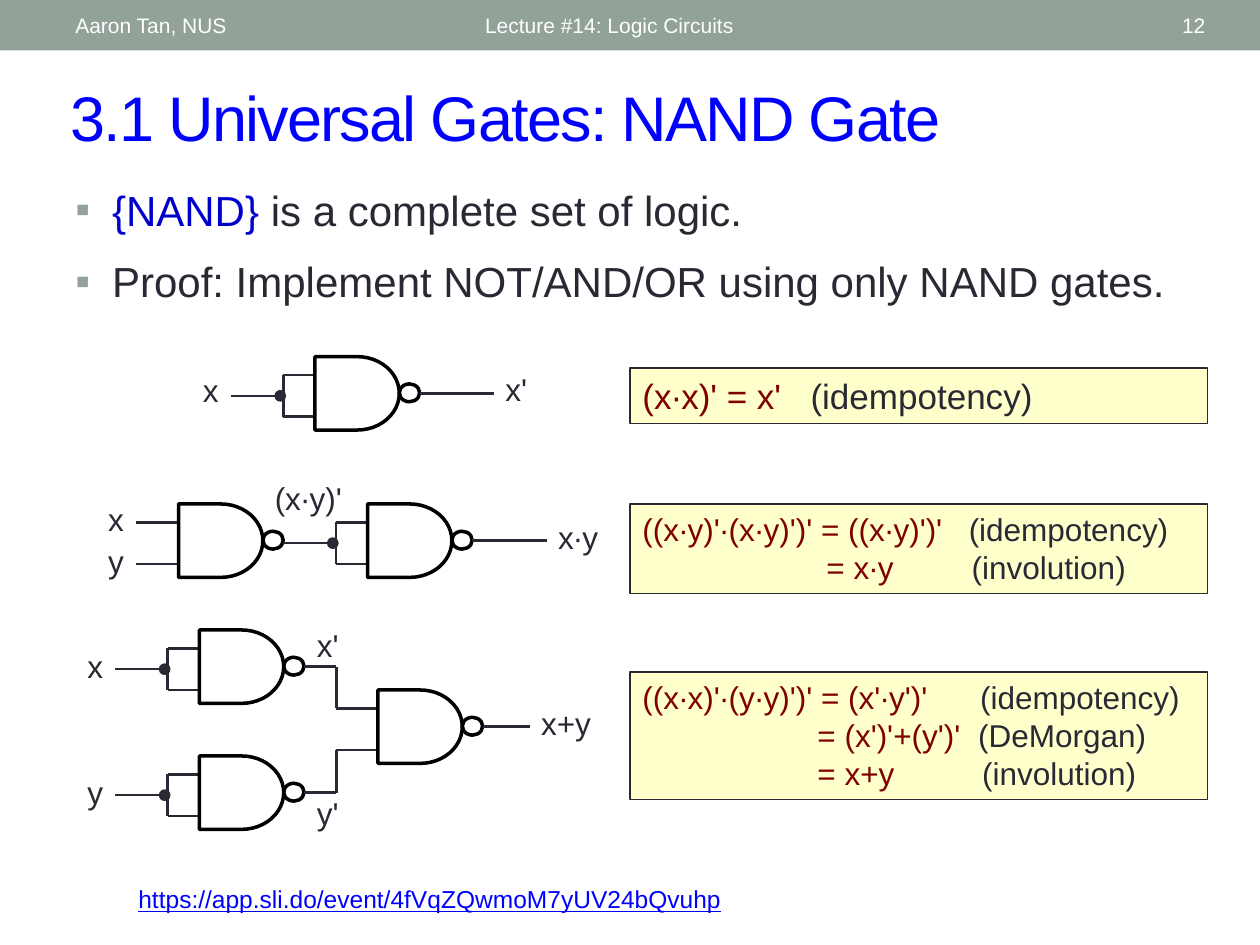
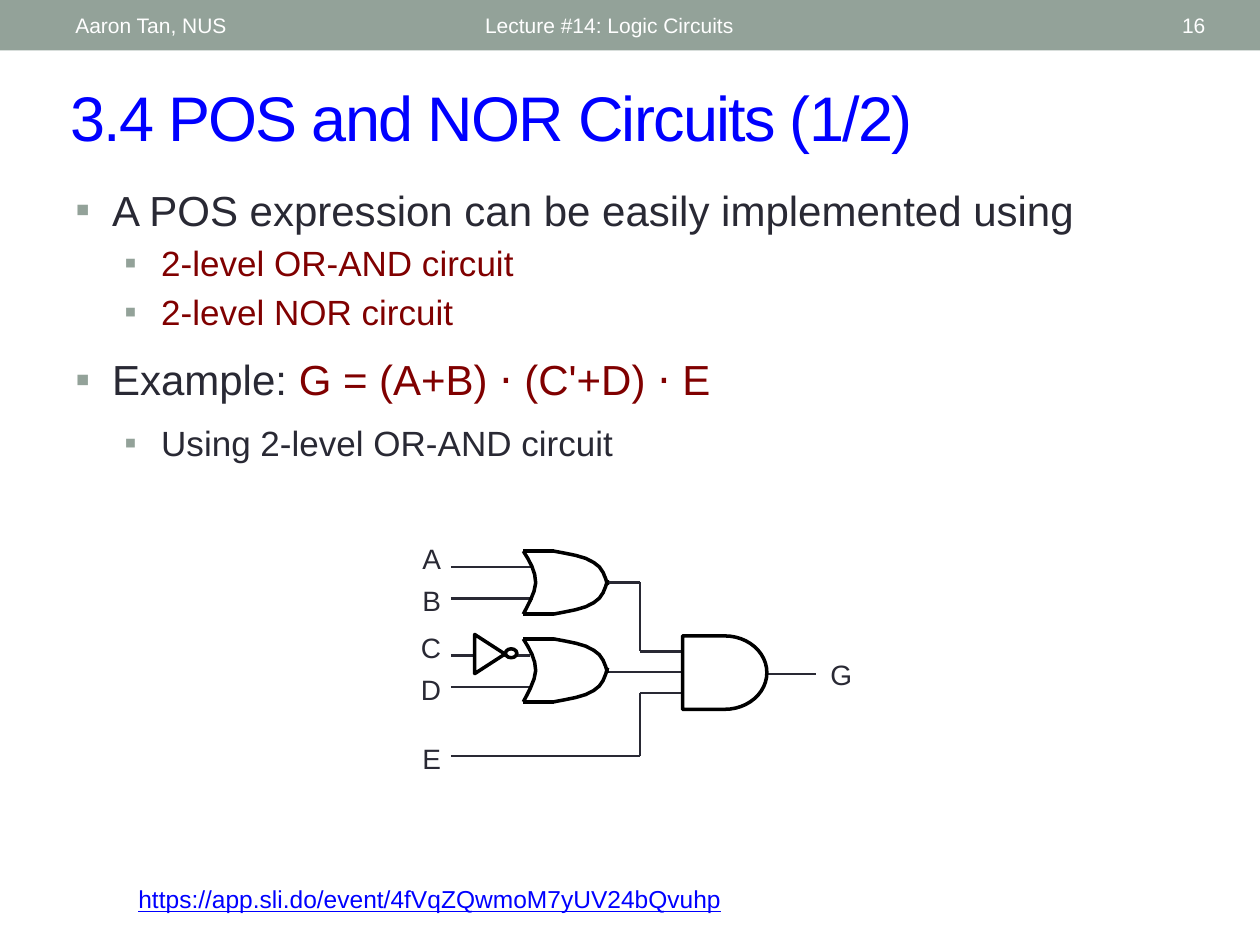
from itertools import pairwise

from lxml.etree import SubElement
from pptx import Presentation
from pptx.dml.color import RGBColor
from pptx.enum.shapes import MSO_CONNECTOR as Connector, MSO_SHAPE as Shape
from pptx.enum.text import MSO_ANCHOR as Anchor, PP_ALIGN as Align
from pptx.oxml.ns import qn
from pptx.util import Cm, Pt

FONT = "Arial"
WHITE = RGBColor(0xFF, 0xFF, 0xFF)
BLACK = RGBColor(0x00, 0x00, 0x00)
INK = RGBColor(0x29, 0x29, 0x34)
SAGE = RGBColor(0x93, 0xA2, 0x99)
BLUE = RGBColor(0x00, 0x00, 0xFF)
DEEP_BLUE = RGBColor(0x00, 0x00, 0xCC)
MAROON = RGBColor(0x80, 0x00, 0x00)
CREAM = RGBColor(0xFF, 0xFF, 0xCC)

GATE_WIDTH, GATE_HEIGHT = 1.7, 1.48
NAND_OUT_X, OUT_Y = 2.11, 0.74
INPUT_YS = (0.37, 1.21)
OR_HEIGHT, OR_SHOULDER = 1.27, 0.61
OR_BACK = (
    ((0, 0), (0.13, 0.2), (0.25, 0.41), (0.25, 0.64)),
    ((0.25, 0.64), (0.25, 0.84), (0.05, 1.17), (0, 1.27)),
)
OR_FRONT = (
    ((0.61, 0), (0.91, 0.06), (1.24, 0.1), (1.42, 0.23)),
    ((1.42, 0.23), (1.6, 0.33), (1.65, 0.51), (1.7, 0.69)),
)


def add_runs(paragraph, runs, size):
    for text, color in runs:
        run = paragraph.add_run()
        run.text = text
        run.font.name = FONT
        run.font.size = Pt(size)
        run.font.color.rgb = color


def add_text(shapes, text, box, size, color=INK, align=Align.LEFT, anchor=Anchor.TOP):
    frame = shapes.add_textbox(*map(Cm, box)).text_frame
    frame.word_wrap = True
    frame.vertical_anchor = anchor
    paragraph = frame.paragraphs[0]
    paragraph.alignment = align
    add_runs(paragraph, [(text, color)], size)
    return paragraph.runs[0]


def add_preset(shapes, kind, box, fill=None, line=BLACK, width=2):
    shape = shapes.add_shape(kind, *map(Cm, box))
    paint(shape, fill, line, width)
    return shape


def paint(shape, fill, line, width):
    shape.shadow.inherit = False
    if fill is None:
        shape.fill.background()
    else:
        shape.fill.solid()
        shape.fill.fore_color.rgb = fill
    if line is None:
        shape.line.fill.background()
    else:
        shape.line.color.rgb = line
        shape.line.width = Pt(width)


def wire(shapes, left, top, *points, color=INK, width=1.5):
    for (x1, y1), (x2, y2) in pairwise(points):
        ends = map(Cm, (left + x1, top + y1, left + x2, top + y2))
        connector = shapes.add_connector(Connector.STRAIGHT, *ends)
        connector.line.color.rgb = color
        connector.line.width = Pt(width)
        SubElement(connector.element.spPr, qn("a:effectLst"))


def add_frame(slide, title, number):
    shapes = slide.shapes
    add_preset(shapes, Shape.RECTANGLE, (0, 0, 25.4, 1.02), SAGE, None)
    for text, left, width, align in (
        ("Aaron Tan, NUS", 1.27, 8.05, Align.LEFT),
        ("Lecture #14: Logic Circuits", 9.53, 11.43, Align.LEFT),
        (str(number), 22.15, 2.4, Align.RIGHT),
    ):
        add_text(shapes, text, (left, 0.05, width, 0.91), 12, WHITE, align, Anchor.MIDDLE)
    heading = add_text(shapes, title, (1.17, 1.45, 23.04, 1.78), 36, BLUE, anchor=Anchor.MIDDLE)
    heading.font._element.set("spc", "-100")
    address = "https://app.sli.do/event/4fVqZQwmoM7yUV24bQvuhp"
    add_text(shapes, address, (2.54, 17.7, 19.6, 0.86), 14, BLUE).font.underline = True


def add_bullets(slide, box, items):
    frame = slide.shapes.add_textbox(*map(Cm, box)).text_frame
    frame.word_wrap = True
    for index, (level, gap, runs) in enumerate(items):
        paragraph = frame.paragraphs[0] if index == 0 else frame.add_paragraph()
        size = (24, 20)[level]
        properties = paragraph._p.get_or_add_pPr()
        properties.set("marL", str(Cm((0.74, 1.73)[level])))
        properties.set("indent", str(-Cm(0.74)))
        color = SubElement(properties, qn("a:buClr"))
        SubElement(color, qn("a:srgbClr"), val=str(SAGE))
        SubElement(properties, qn("a:buFont"), typeface=FONT)
        SubElement(properties, qn("a:buChar"), char="▪")
        paragraph.level = level
        if index:
            paragraph.space_before = Pt(gap * size)
        add_runs(paragraph, runs, size)


def add_derivation(slide, top, height, size, equals_tab, rows):
    shape = add_preset(slide.shapes, Shape.RECTANGLE, (12.7, top, 11.64, height), CREAM, INK, 0.75)
    frame = shape.text_frame
    frame.word_wrap = True
    frame.vertical_anchor = Anchor.TOP
    for index, (formula, law, law_tab) in enumerate(rows):
        paragraph = frame.paragraphs[0] if index == 0 else frame.add_paragraph()
        paragraph.alignment = Align.LEFT
        tab_list = SubElement(paragraph._p.get_or_add_pPr(), qn("a:tabLst"))
        tabs = (equals_tab, law_tab) if index else (law_tab,)
        for position in tabs:
            SubElement(tab_list, qn("a:tab"), pos=str(Cm(position)), algn="l")
        add_runs(paragraph, [(formula, MAROON), (f"\t({law})", INK)], size)


def add_nand(shapes, left, top):
    add_preset(shapes, Shape.FLOWCHART_DELAY, (left, top, GATE_WIDTH, GATE_HEIGHT))
    add_preset(shapes, Shape.OVAL, (left + GATE_WIDTH, top + 0.55, 0.41, 0.36))


def add_tied_nand(shapes, left, top):
    upper, lower = INPUT_YS
    wire(shapes, left, top, (-1.7, 0.79), (-0.64, 0.79))
    wire(shapes, left, top, (0, upper), (-0.64, upper), (-0.64, lower), (0, lower))
    add_preset(shapes, Shape.OVAL, (left - 0.8, top + 0.69, 0.2, 0.2), INK, INK, 1)
    add_nand(shapes, left, top)


def add_input_label(shapes, text, left, top):
    add_text(shapes, text, (left, top, 0.84, 1.02), 18, align=Align.RIGHT)


def add_output(shapes, left, top, length, text):
    end = NAND_OUT_X + length
    wire(shapes, left, top, (NAND_OUT_X, OUT_Y), (end, OUT_Y))
    add_text(shapes, text, (left + end - 0.02, top + 0.15, 1.7, 1.02), 18)


def add_not_circuit(slide, left, top):
    shapes = slide.shapes.add_group_shape().shapes
    add_tied_nand(shapes, left, top)
    add_input_label(shapes, "x", left - 2.53, top + 0.17)
    add_output(shapes, left, top, 1.5, "x'")


def add_and_circuit(slide, left, top):
    shapes = slide.shapes.add_group_shape().shapes
    second = left + 3.81
    for name, y in zip("xy", INPUT_YS):
        wire(shapes, left, top, (-0.86, y), (0, y))
        add_input_label(shapes, name, left - 1.69, top + y - 0.57)
    add_nand(shapes, left, top)
    add_tied_nand(shapes, second, top)
    add_text(shapes, "(x∙y)'", (left + 1.69, top - 0.63, 1.95, 1.02), 18)
    add_output(shapes, second, top, 1.5, "x∙y")


def add_or_circuit(slide, left, top):
    shapes = slide.shapes.add_group_shape().shapes
    final_x, final_y = 3.6, 1.21
    branches = (("x", 0, -0.2), ("y", 2.54, 3.18))
    for (name, offset, label_y), input_y in zip(branches, INPUT_YS):
        add_tied_nand(shapes, left, top + offset)
        add_input_label(shapes, name, left - 2.53, top + offset + 0.21)
        start_y, end_y = offset + OUT_Y, final_y + input_y
        wire(shapes, left, top, (NAND_OUT_X, start_y), (2.76, start_y),
             (2.76, end_y), (final_x, end_y))
        add_text(shapes, f"{name}'", (left + 2.12, top + label_y, 1.07, 1.02), 18)
    add_nand(shapes, left + final_x, top + final_y)
    add_output(shapes, left + final_x, top + final_y, 0.95, "x+y")


def bezier(p0, p1, p2, p3, steps=4):
    for step in range(steps + 1):
        t = step / steps
        u = 1 - t
        yield tuple(u**3 * a + 3 * u * u * t * b + 3 * u * t * t * c + t**3 * d
                    for a, b, c, d in zip(p0, p1, p2, p3))


def add_curve(shapes, left, top, pieces):
    first, second = map(list, map(lambda piece: bezier(*piece), pieces))
    points = [(Cm(left + x), Cm(top + y)) for x, y in first + second[1:]]
    builder = shapes.build_freeform(*points[0])
    builder.add_line_segments(points[1:], close=False)
    paint(builder.convert_to_shape(), None, BLACK, 2)


def add_or_gate(shapes, left, top):
    lower_front = [[(x, OR_HEIGHT - y) for x, y in piece] for piece in OR_FRONT]
    for pieces in (OR_BACK, OR_FRONT, lower_front):
        add_curve(shapes, left, top, pieces)
    for y in (0, OR_HEIGHT):
        wire(shapes, left, top, (0, y), (OR_SHOULDER, y), color=BLACK, width=2)


def add_inverter(shapes, left, top):
    triangle = add_preset(shapes, Shape.FLOWCHART_MERGE, (left, top, 0.79, 0.61), WHITE)
    triangle.rotation = 270
    add_preset(shapes, Shape.OVAL, (left + 0.71, top + 0.2, 0.23, 0.18), WHITE)


def add_or_and_circuit(slide, left, top):
    shapes = slide.shapes.add_group_shape().shapes
    start, bend, and_x = 1.01, 4.82, 5.68
    for name, label_y, wire_y, end in (
        ("A", 0, 0.63, 2.67),
        ("B", 0.84, 1.27, 2.67),
        ("C", 1.78, 2.41, 2.6),
        ("D", 2.64, 3.05, 2.6),
        ("E", 4.02, 4.44, bend),
    ):
        add_text(shapes, name, (left, top + label_y, 1.06, 0.94), 16, align=Align.RIGHT)
        wire(shapes, left, top, (start, wire_y), (end, wire_y))
    wire(shapes, left, top, (4.2, 0.94), (bend, 0.94), (bend, 2.33), (and_x, 2.33))
    wire(shapes, left, top, (4.2, 2.75), (and_x, 2.75))
    wire(shapes, left, top, (bend, 4.44), (bend, 3.17), (and_x, 3.17))
    wire(shapes, left, top, (and_x + GATE_WIDTH, 2.79), (8.37, 2.79))
    for gate_y in (0.31, 2.08):
        add_or_gate(shapes, left + 2.47, top + gate_y)
    add_inverter(shapes, left + 1.4, top + 2.08)
    add_preset(shapes, Shape.FLOWCHART_DELAY, (left + and_x, top + 2.02, GATE_WIDTH, GATE_HEIGHT))
    add_text(shapes, "G", (left + 8.41, top + 2.34, 0.99, 0.94), 16)


def build_nand_slide(slide):
    add_frame(slide, "3.1 Universal Gates: NAND Gate", 12)
    add_bullets(slide, (1.27, 3.59, 22.86, 3.38), [
        (0, 0, [("{NAND} ", DEEP_BLUE), ("is a complete set of logic.", INK)]),
        (0, 0.5, [("Proof: Implement NOT/AND/OR using only NAND gates.", INK)]),
    ])
    add_not_circuit(slide, 6.35, 7.19)
    add_and_circuit(slide, 3.6, 10.16)
    add_or_circuit(slide, 4.02, 12.7)
    add_derivation(slide, 7.42, 1.12, 20, 0, [("(x∙x)' = x'", "idempotency", 3.39)])
    add_derivation(slide, 10.16, 1.8, 18, 3.71, [
        ("((x∙y)'∙(x∙y)')' = ((x∙y)')'", "idempotency", 6.58),
        ("\t= x∙y", "involution", 6.64),
    ])
    add_derivation(slide, 13.55, 2.57, 18, 3.53, [
        ("((x∙x)'∙(y∙y)')' = (x'∙y')'", "idempotency", 6.81),
        ("\t= (x')'+(y')'", "DeMorgan", 6.77),
        ("\t= x+y", "involution", 6.85),
    ])


def build_nor_slide(slide):
    add_frame(slide, "3.4 POS and NOR Circuits (1/2)", 16)
    add_bullets(slide, (1.27, 3.59, 22.86, 6.68), [
        (0, 0, [("A POS expression can be easily implemented using", INK)]),
        (1, 0.2, [("2-level OR-AND circuit", MAROON)]),
        (1, 0.2, [("2-level NOR circuit", MAROON)]),
        (0, 0.5, [("Example:", INK), (" G = (A+B) ⋅ (C'+D) ⋅ E", MAROON)]),
        (1, 0.5, [("Using 2-level OR-AND circuit", INK)]),
    ])
    add_or_and_circuit(slide, 8.08, 10.8)


def main():
    presentation = Presentation()
    presentation.slide_width = Cm(25.4)
    presentation.slide_height = Cm(19.05)
    blank = presentation.slide_layouts[6]
    for build in (build_nand_slide, build_nor_slide):
        build(presentation.slides.add_slide(blank))
    presentation.save("out.pptx")


if __name__ == "__main__":
    main()
